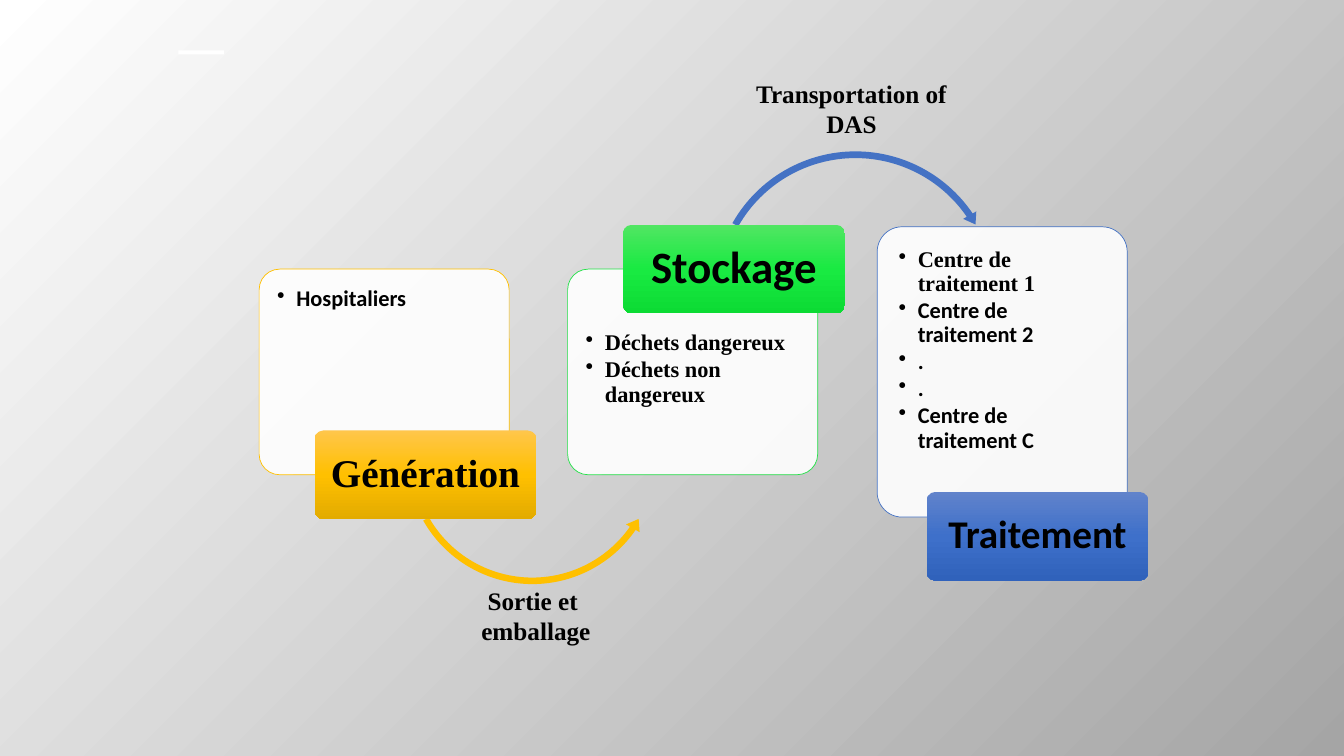
from copy import deepcopy
from dataclasses import dataclass

from lxml import etree
from pptx import Presentation
from pptx.dml.color import RGBColor
from pptx.enum.shapes import MSO_SHAPE
from pptx.enum.text import MSO_ANCHOR, MSO_AUTO_SIZE, PP_ALIGN
from pptx.oxml.ns import qn
from pptx.util import Pt

PX = 9144  # 100 px to the inch
RECT, ROUND = MSO_SHAPE.RECTANGLE, MSO_SHAPE.ROUNDED_RECTANGLE
ARC_OVER, ARC_UNDER = MSO_SHAPE.CIRCULAR_ARROW, MSO_SHAPE.LEFT_CIRCULAR_ARROW
CENTER, LEFT = PP_ALIGN.CENTER, PP_ALIGN.LEFT
TOP, MIDDLE = MSO_ANCHOR.TOP, MSO_ANCHOR.MIDDLE
GROW = MSO_AUTO_SIZE.SHAPE_TO_FIT_TEXT


@dataclass(frozen=True)
class Theme:
    white: str = "FFFFFF"
    grey: str = "A5A5A5"
    text: str = "000000"
    gold: str = "FFC000"
    green: str = "23E148"
    blue: str = "4472C4"
    gold_fade: tuple = ("FFC64B", "FFC000", "E3AB00")
    green_fade: tuple = ("51E663", "19EA42", "0CDB34")
    blue_fade: tuple = ("6183CB", "3E70CA", "3062BB")
    sans: str = "Calibri"
    serif: str = "Times New Roman"
    item: int = 16
    label: int = 18
    stage: int = 28
    stage_big: int = 32


T = Theme()


def px(*lengths):
    return [n * PX for n in lengths]


def rgb(color):
    return RGBColor.from_string(color)


def add_bullet(p):
    pPr = p._p.get_or_add_pPr()
    pPr.set("marL", str(19 * PX))
    pPr.set("indent", str(-19 * PX))
    etree.SubElement(pPr, qn("a:buChar")).set("char", "•")


def write(tf, lines, *, size, font=T.serif, align=CENTER, anchor=TOP,
          insets=(10, 5, 10, 5), spacing=1.0, bullets=False):
    """Fill a text frame; a line is a string or a (string, font) pair."""
    tf.word_wrap = True
    tf.vertical_anchor = anchor
    (tf.margin_left, tf.margin_top,
     tf.margin_right, tf.margin_bottom) = px(*insets)
    for i, line in enumerate(lines):
        text, face = (line, font) if isinstance(line, str) else line
        p = tf.add_paragraph() if i else tf.paragraphs[0]
        p.alignment = align
        p.line_spacing = spacing
        if bullets:
            p.level = 1
            p.space_after = Pt(2)
            add_bullet(p)
        r = p.add_run()
        r.text = text
        r.font.name, r.font.size, r.font.bold = face, Pt(size), True
        r.font.color.rgb = rgb(T.text)


def add_shape(s, kind, box, *, fill=None, line=None, adjust=()):
    sp = s.shapes.add_shape(kind, *px(*box))
    sp.shadow.inherit = False
    for i, value in enumerate(adjust):
        sp.adjustments[i] = value
    if fill:
        sp.fill.solid()
        sp.fill.fore_color.rgb = rgb(fill)
    if line:
        sp.line.color.rgb = rgb(line)
        sp.line.width = Pt(0.5)
    else:
        sp.line.fill.background()
    return sp


def set_background(s):
    fill = s.background.fill
    fill.gradient()
    for stop, color in zip(fill.gradient_stops, (T.white, T.grey)):
        stop.color.rgb = rgb(color)
    # Radial from the top left corner
    grad = s._element.find(".//" + qn("a:gradFill"))
    grad.remove(grad.find(qn("a:lin")))
    path = etree.SubElement(grad, qn("a:path"))
    path.set("path", "circle")
    corner = etree.SubElement(path, qn("a:fillToRect"))
    corner.set("r", "100000")
    corner.set("b", "100000")


def add_card(s, box, color, items, inset, top):
    sp = add_shape(s, ROUND, box, fill=T.white, line=color, adjust=[0.1])
    clr = sp._element.spPr.find(qn("a:solidFill")).find(qn("a:srgbClr"))
    etree.SubElement(clr, qn("a:alpha")).set("val", "90000")
    write(sp.text_frame, items, size=T.item, align=LEFT, spacing=0.9,
          insets=(inset, top, inset, inset), bullets=True)


def add_stage(s, x, y, name, fade, font, size):
    sp = add_shape(s, ROUND, (x, y, 220, 88), adjust=[0.1])
    sp.fill.gradient()
    sp.fill.gradient_angle = 270
    stops = sp._element.spPr.find(".//" + qn("a:gsLst"))
    stops.insert(1, deepcopy(stops[0]))
    for i, (stop, color) in enumerate(zip(sp.fill.gradient_stops, fade)):
        stop.position = i / 2
        stop.color.rgb = rgb(color)
    write(sp.text_frame, [name], size=size, font=font, anchor=MIDDLE,
          insets=(4, 4, 4, 4), spacing=0.9)


def add_arc(s, kind, box, color, band, head, end, start, tip):
    """Angles are in degrees, band and tip in parts of the box."""
    turn = [angle * 0.6 for angle in (head, end, start)]
    add_shape(s, kind, box, fill=color, adjust=[band, *turn, tip])


def add_label(s, box, lines):
    tf = s.shapes.add_textbox(*px(*box)).text_frame
    write(tf, lines, size=T.label)
    tf.auto_size = GROW


def main():
    prs = Presentation()
    prs.slide_width, prs.slide_height = px(1333, 750)
    s = prs.slides.add_slide(prs.slide_layouts[6])
    set_background(s)

    # Generation
    add_card(s, (257, 267, 248, 204), T.gold,
             [("Hospitaliers", T.sans)], 12, 12)
    add_arc(s, ARC_UNDER, (399, 326, 258, 258), T.gold,
            0.025, 5.16, 34.75, 150.41, 0.03)
    add_stage(s, 312, 427, "Génération", T.gold_fade, T.serif, T.stage)

    # Storage
    add_card(s, (563, 267, 248, 204), T.green,
             ["Déchets dangereux", "Déchets non dangereux"], 12, 56)
    add_arc(s, ARC_OVER, (704, 146, 289, 289), T.blue,
            0.023, 4.56, 325.77, 209.52, 0.026)
    add_stage(s, 618, 223, "Stockage", T.green_fade, T.sans, T.stage_big)

    # Treatment
    centres = ["Centre de traitement 2", ".", ".", "Centre de traitement C"]
    add_card(s, (870, 225, 248, 288), T.blue,
             ["Centre de traitement 1", *((c, T.sans) for c in centres)],
             14, 14)
    add_stage(s, 919, 488, "Traitement", T.blue_fade, T.sans, T.stage)

    # Accent bar and arrow labels
    add_shape(s, RECT, (177, 50, 45, 4), fill=T.white)
    add_label(s, (418, 576, 227, 71), ["Sortie et ", "emballage"])
    add_label(s, (717, 73, 255, 71), ["Transportation of DAS"])

    prs.save("out.pptx")


if __name__ == "__main__":
    main()
